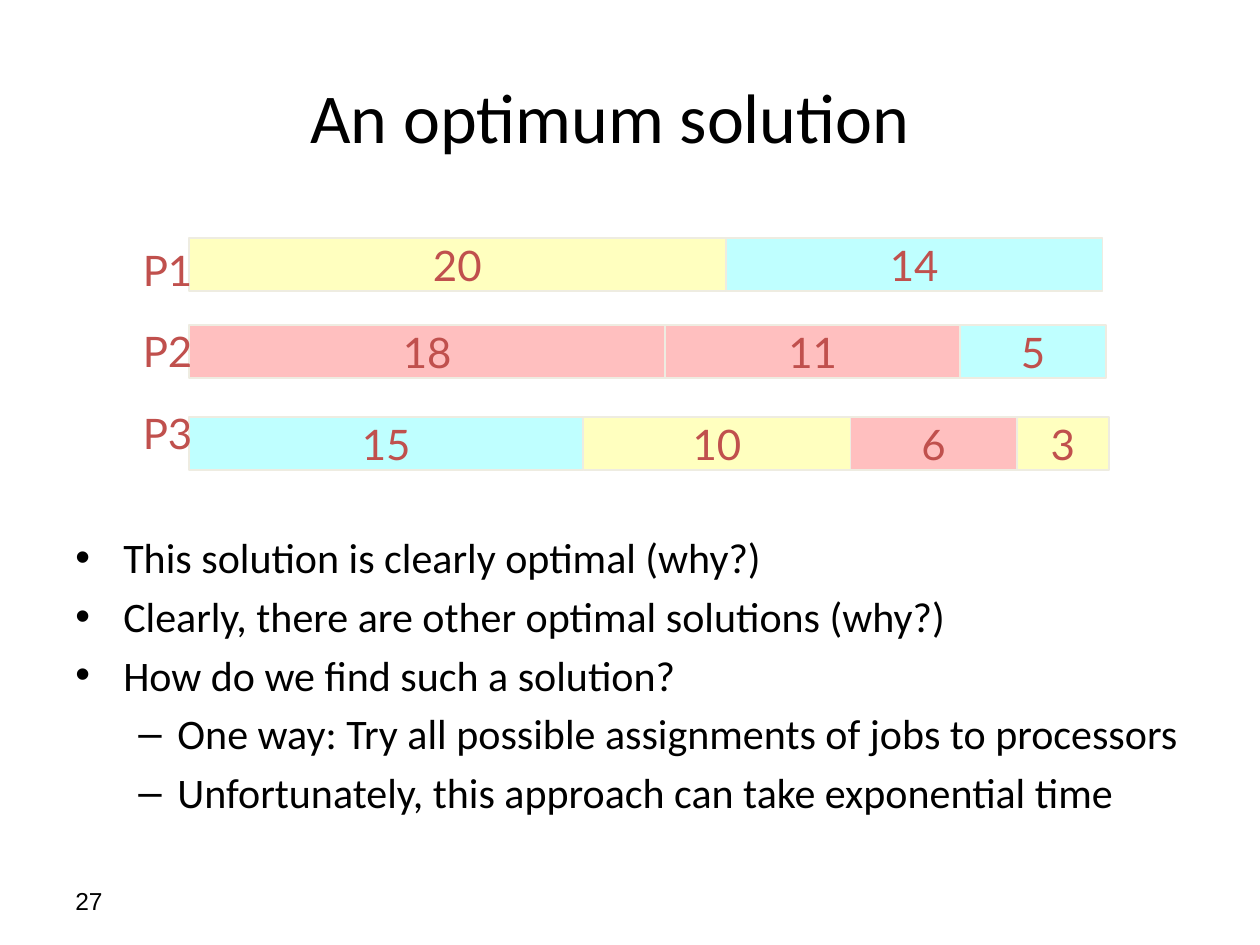
from lxml.etree import SubElement
from pptx import Presentation
from pptx.dml.color import RGBColor
from pptx.enum.shapes import MSO_SHAPE
from pptx.enum.text import MSO_ANCHOR, PP_ALIGN
from pptx.oxml.ns import qn
from pptx.util import Inches, Pt

COLORS = {"ink": "000000", "label": "C0504D", "edge": "EEECE1",
          "yellow": "FFFFBF", "pink": "FFBFBF", "cyan": "BFFFFF"}

TITLE = "An optimum solution"
PAGE = "27"
# Each processor: name, top of its bar, jobs as (length, bar width, color)
ROWS = [
    ("P1", 1.89, [(20, 4.26, "yellow"), (14, 2.99, "cyan")]),
    ("P2", 2.58, [(18, 3.78, "pink"), (11, 2.34, "pink"), (5, 1.16, "cyan")]),
    ("P3", 3.31, [(15, 3.13, "cyan"), (10, 2.12, "yellow"),
                  (6, 1.32, "pink"), (3, 0.73, "yellow")]),
]
POINTS = [
    (0, "This solution is clearly optimal (why?)"),
    (0, "Clearly, there are other optimal solutions (why?)"),
    (0, "How do we find such a solution?"),
    (1, "One way: Try all possible assignments of jobs to processors"),
    (1, "Unfortunately, this approach can take exponential time"),
]
BULLETS = [("•", 0.38, -0.38), ("–", 0.81, -0.31)]  # sign, margin, indent
BAR_LEFT, BAR_HEIGHT = 1.5, 0.42

BODY = {"size": Pt(24), "name": "Calibri"}
LABEL = {"size": Pt(24), "name": "Lato"}
HEAD = {"size": Pt(40), "name": "Calibri"}
FOOT = {"size": Pt(14), "name": "Arial"}


def rgb(name):
    return RGBColor.from_string(COLORS[name])


def write(par, text, style, color="ink", **layout):
    run = par.add_run()
    run.text = text
    for key, value in style.items():
        setattr(run.font, key, value)
    run.font.color.rgb = rgb(color)
    for key, value in layout.items():
        setattr(par, key, value)


def paragraphs(frame, count):
    return [frame.paragraphs[0]] + [frame.add_paragraph() for _ in range(count - 1)]


def add_box(slide, *place):
    frame = slide.shapes.add_textbox(*map(Inches, place)).text_frame
    frame.word_wrap = True
    return frame


def add_bullet(par, level):
    sign, margin, indent = BULLETS[level]
    props = par._p.get_or_add_pPr()
    props.set("marL", str(Inches(margin)))
    props.set("indent", str(Inches(indent)))
    SubElement(props, qn("a:buFont"), typeface="Arial")
    SubElement(props, qn("a:buChar"), char=sign)


def add_bar(slide, left, top, width, text, color):
    bar = slide.shapes.add_shape(
        MSO_SHAPE.RECTANGLE, *map(Inches, (left, top, width, BAR_HEIGHT)))
    bar.shadow.inherit = False
    bar.fill.solid()
    bar.fill.fore_color.rgb = rgb(color)
    bar.line.color.rgb = rgb("edge")
    bar.line.width = Pt(1)
    frame = bar.text_frame
    frame.word_wrap = False
    frame.vertical_anchor = MSO_ANCHOR.MIDDLE
    write(frame.paragraphs[0], text, LABEL, "label", alignment=PP_ALIGN.CENTER)


def main():
    deck = Presentation()
    deck.slide_width, deck.slide_height = Inches(10), Inches(7.5)
    slide = deck.slides.add_slide(deck.slide_layouts[5])

    title = slide.shapes.title
    title.left, title.top, title.width, title.height = map(
        Inches, (0.58, 0.5, 8.52, 0.83))
    title.text_frame.vertical_anchor = MSO_ANCHOR.MIDDLE
    write(title.text_frame.paragraphs[0], TITLE, HEAD, alignment=PP_ALIGN.CENTER)

    page = add_box(slide, 0.5, 6.95, 2.33, 0.4)
    page.vertical_anchor = MSO_ANCHOR.MIDDLE
    write(page.paragraphs[0], PAGE, FOOT)

    body = add_box(slide, 0.5, 4.17, 9.38, 2.31)
    for par, (level, text) in zip(paragraphs(body, len(POINTS)), POINTS):
        write(par, text, BODY, level=level, space_before=Pt(4.8))
        add_bullet(par, level)

    for _, top, jobs in ROWS:
        left = BAR_LEFT
        for length, width, color in jobs:
            add_bar(slide, left, top, width, str(length), color)
            left += width

    names = add_box(slide, 1, 1.81, 0.66, 1.93)
    for par, (name, _, _) in zip(paragraphs(names, len(ROWS)), ROWS):
        write(par, name, LABEL, "label", alignment=PP_ALIGN.CENTER,
              line_spacing=1.2, space_before=Pt(12))

    deck.save("out.pptx")


if __name__ == "__main__":
    main()
